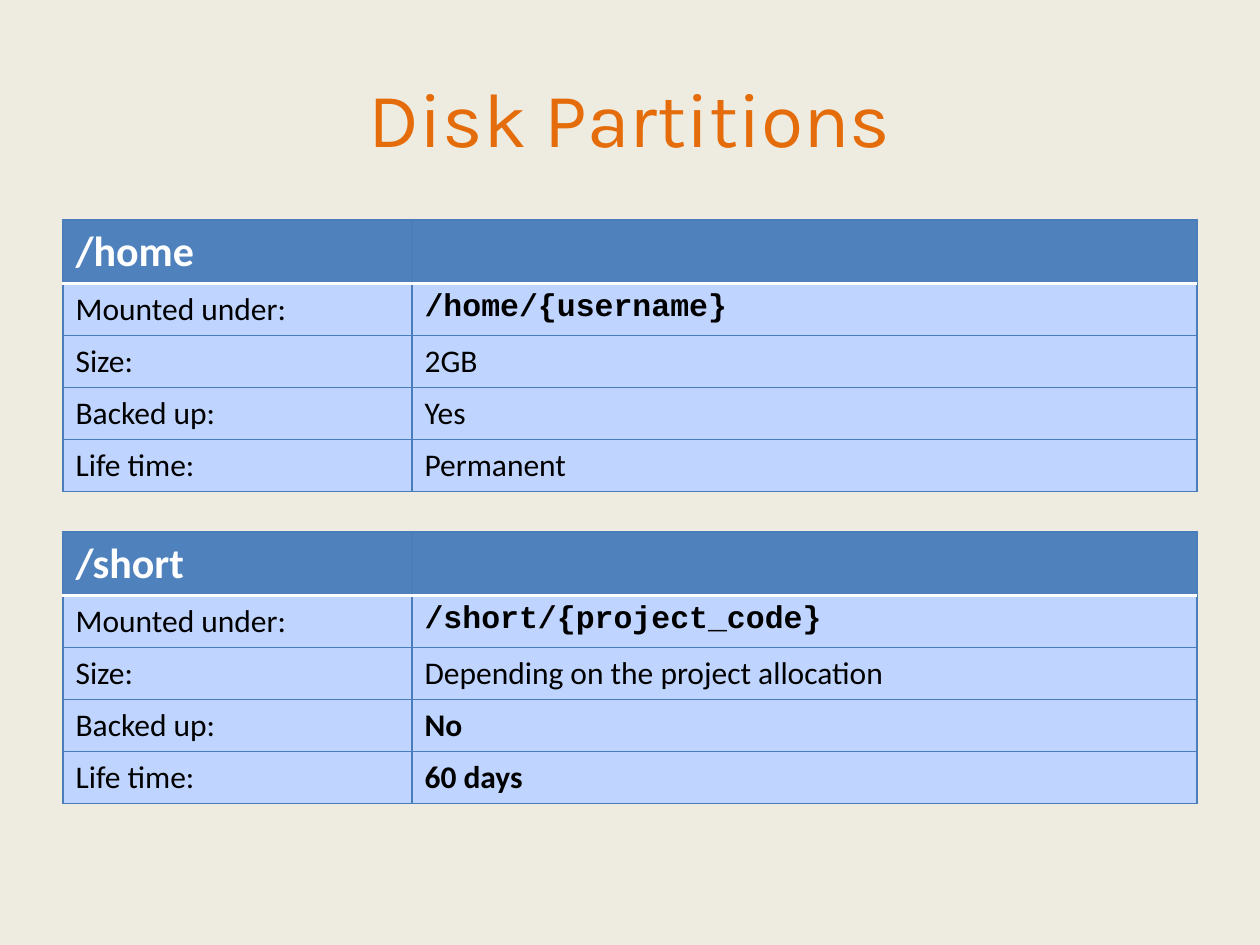
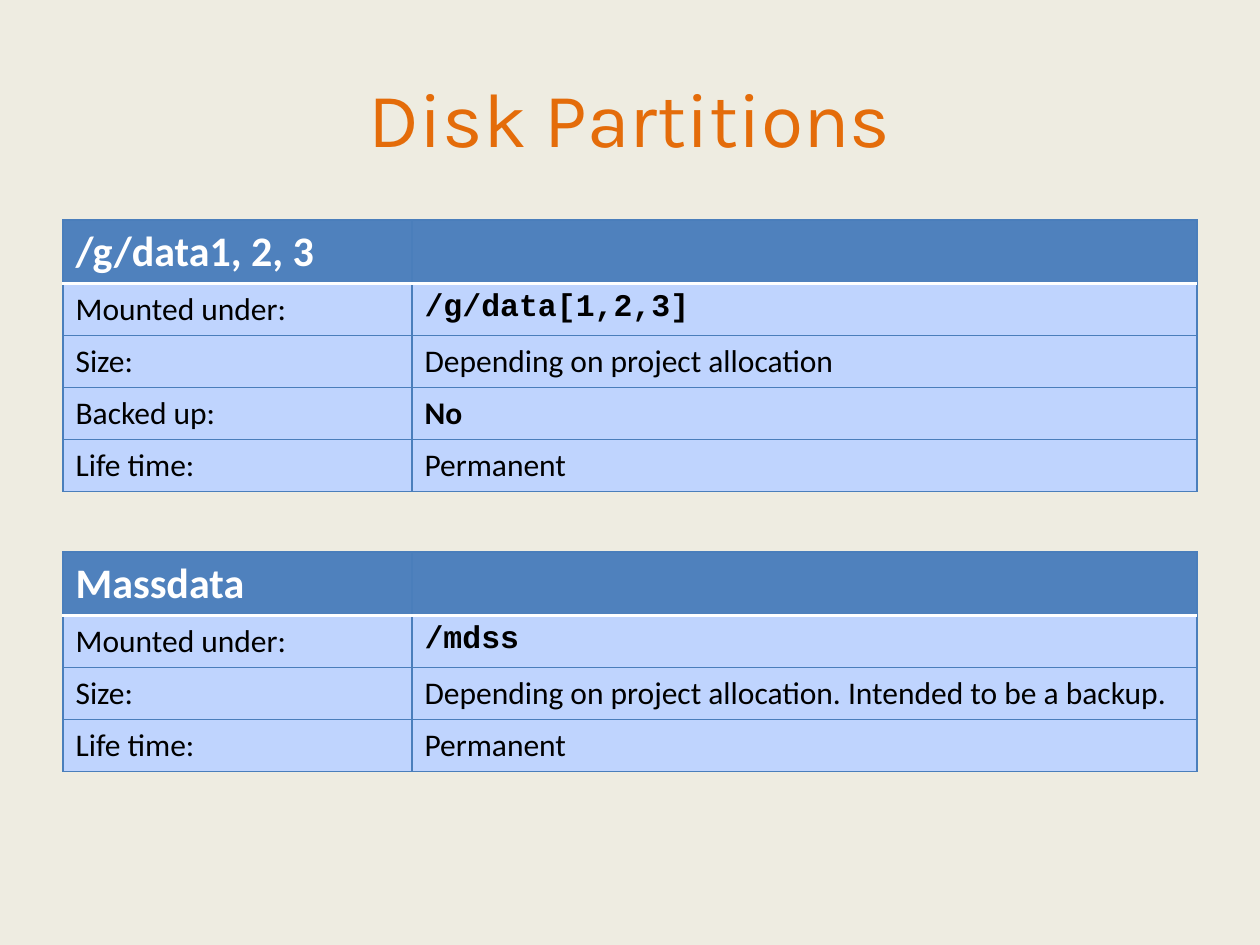
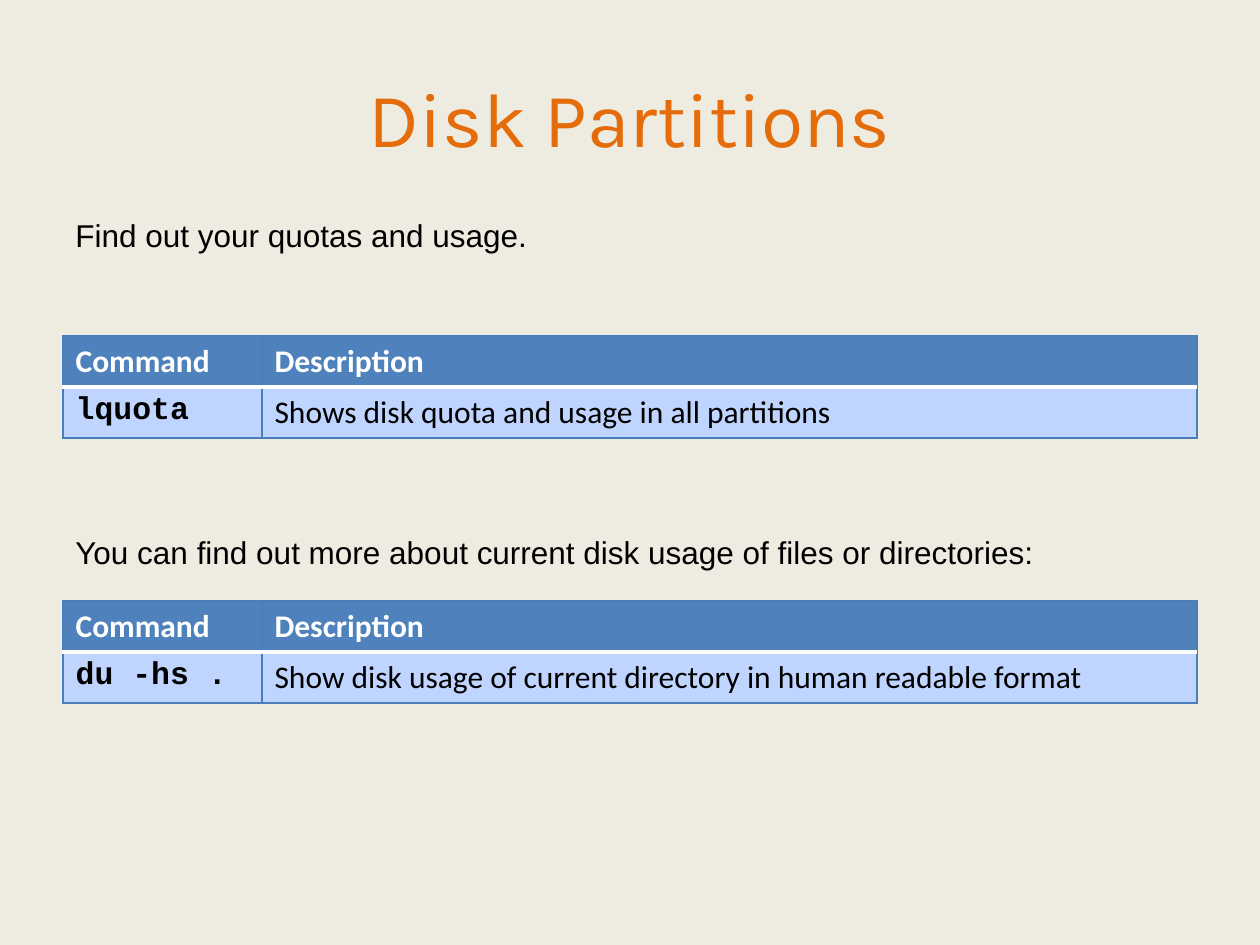
import pptx
import pptx.dml.color
import pptx.enum.text
import pptx.oxml
import pptx.oxml.ns
import pptx.util

# Shared look
BACKGROUND = "EEECE1"
TITLE_COLOR = "E46C0A"
HEADER_FILL = "4F81BD"
BODY_FILL = "BFD4FE"
GRID = "4A7EBB"
WHITE = "FFFFFF"
BLACK = "000000"
BODY_FONT = "Calibri"
CODE_FONT = "Courier New"
THIN, THICK = 0.75, 2

# Shared geometry in px
PX_PER_INCH = 126
LEFT, WIDTH = 63, 1134
NOTE_WIDTH = 1061
PARTITION_COLUMNS = (349, 785)
COMMAND_COLUMNS = (199, 935)
PARTITION_HEADER, PARTITION_ROW = 63, 52
COMMAND_ROW = 51


def px(length):
    return pptx.util.Emu(round(length * 914400 / PX_PER_INCH))


def rgb(color):
    return pptx.dml.color.RGBColor.from_string(color)


def add_run(paragraph, text, size, font, color, bold=False):
    run = paragraph.add_run()
    run.text = text
    run.font.size = pptx.util.Pt(size)
    run.font.name = font
    run.font.bold = bold
    run.font.color.rgb = rgb(color)


def add_slide(presentation, title):
    slide = presentation.slides.add_slide(presentation.slide_layouts[5])
    shape = slide.shapes.title
    shape.left, shape.top, shape.width, shape.height = px(LEFT), px(38), px(WIDTH), px(157)
    frame = shape.text_frame
    frame.auto_size = pptx.enum.text.MSO_AUTO_SIZE.NONE
    frame.vertical_anchor = pptx.enum.text.MSO_ANCHOR.MIDDLE
    paragraph = frame.paragraphs[0]
    paragraph.alignment = pptx.enum.text.PP_ALIGN.CENTER
    add_run(paragraph, title, 44, "Karla", TITLE_COLOR)
    return slide


def add_note(slide, top, height, text):
    shape = slide.shapes.add_textbox(px(LEFT), px(top), px(NOTE_WIDTH), px(height))
    shape.text_frame.word_wrap = True
    add_run(shape.text_frame.paragraphs[0], text, 18, "Arial", BLACK)


def set_border(cell, side, color, width):
    line = pptx.oxml.parse_xml(
        f'<a:ln{side} {pptx.oxml.ns.nsdecls("a")} w="{pptx.util.Pt(width)}">'
        f'<a:solidFill><a:srgbClr val="{color}"/></a:solidFill></a:ln{side}>')
    cell._tc.get_or_add_tcPr().append(line)


def format_cell(cell, row):
    # The rule under the header row is white and thicker than the grid
    rule, thin = (WHITE, THICK), (GRID, THIN)
    borders = {"L": thin, "R": thin,
               "T": rule if row == 1 else thin,
               "B": rule if row == 0 else thin}
    for side, (color, width) in borders.items():
        set_border(cell, side, color, width)
    cell.fill.solid()
    cell.fill.fore_color.rgb = rgb(BODY_FILL if row else HEADER_FILL)


def add_table(slide, top, columns, heights, rows, header_size, code_cell, bold_values=()):
    frame = slide.shapes.add_table(len(rows), len(columns), px(LEFT), px(top),
                                   px(WIDTH), px(sum(heights)))
    table = frame.table
    table.horz_banding = False
    for column, width in zip(table.columns, columns):
        column.width = px(width)
    for row, (height, texts) in enumerate(zip(heights, rows)):
        table.rows[row].height = px(height)
        for column, text in enumerate(texts):
            cell = table.cell(row, column)
            format_cell(cell, row)
            if not text:
                continue
            header, code = row == 0, (row, column) == code_cell
            add_run(cell.text_frame.paragraphs[0], text,
                    header_size if header else 18,
                    CODE_FONT if code else BODY_FONT,
                    WHITE if header else BLACK,
                    header or code or text in bold_values)


def add_partition(slide, top, name, properties, bold_values=()):
    rows = [(name, "")] + [(f"{label}:", value) for label, value in properties.items()]
    heights = [PARTITION_HEADER] + [PARTITION_ROW] * len(properties)
    add_table(slide, top, PARTITION_COLUMNS, heights, rows, 24, (1, 1), bold_values)


def add_command(slide, top, command, description):
    rows = [("Command", "Description"), (command, description)]
    add_table(slide, top, COMMAND_COLUMNS, [COMMAND_ROW] * 2, rows, 18, (1, 0))


def main():
    presentation = pptx.Presentation()
    presentation.slide_width, presentation.slide_height = px(1260), px(945)
    background = presentation.slide_master.background.fill
    background.solid()
    background.fore_color.rgb = rgb(BACKGROUND)
    title = "Disk Partitions"

    # Home and short-term partitions
    slide = add_slide(presentation, title)
    add_partition(slide, 220, "/home", {
        "Mounted under": "/home/{username}",
        "Size": "2GB",
        "Backed up": "Yes",
        "Life time": "Permanent"})
    add_partition(slide, 532, "/short", {
        "Mounted under": "/short/{project_code}",
        "Size": "Depending on the project allocation",
        "Backed up": "No",
        "Life time": "60 days"}, ("No", "60 days"))

    # Project data and mass storage
    slide = add_slide(presentation, title)
    add_partition(slide, 220, "/g/data1, 2, 3", {
        "Mounted under": "/g/data[1,2,3]",
        "Size": "Depending on project allocation",
        "Backed up": "No",
        "Life time": "Permanent"}, ("No",))
    add_partition(slide, 552, "Massdata", {
        "Mounted under": "/mdss",
        "Size": "Depending on project allocation. Intended to be a backup.",
        "Life time": "Permanent"})

    # Quota and usage commands
    slide = add_slide(presentation, title)
    add_note(slide, 210, 88, "Find out your quotas and usage.")
    add_command(slide, 336, "lquota", "Shows disk quota and usage in all partitions")
    add_note(slide, 527, 50,
             "You can find out more about current disk usage of files or directories:")
    add_command(slide, 601, "du -hs .",
                "Show disk usage of current directory in human readable format")

    presentation.save("out.pptx")


if __name__ == "__main__":
    main()
